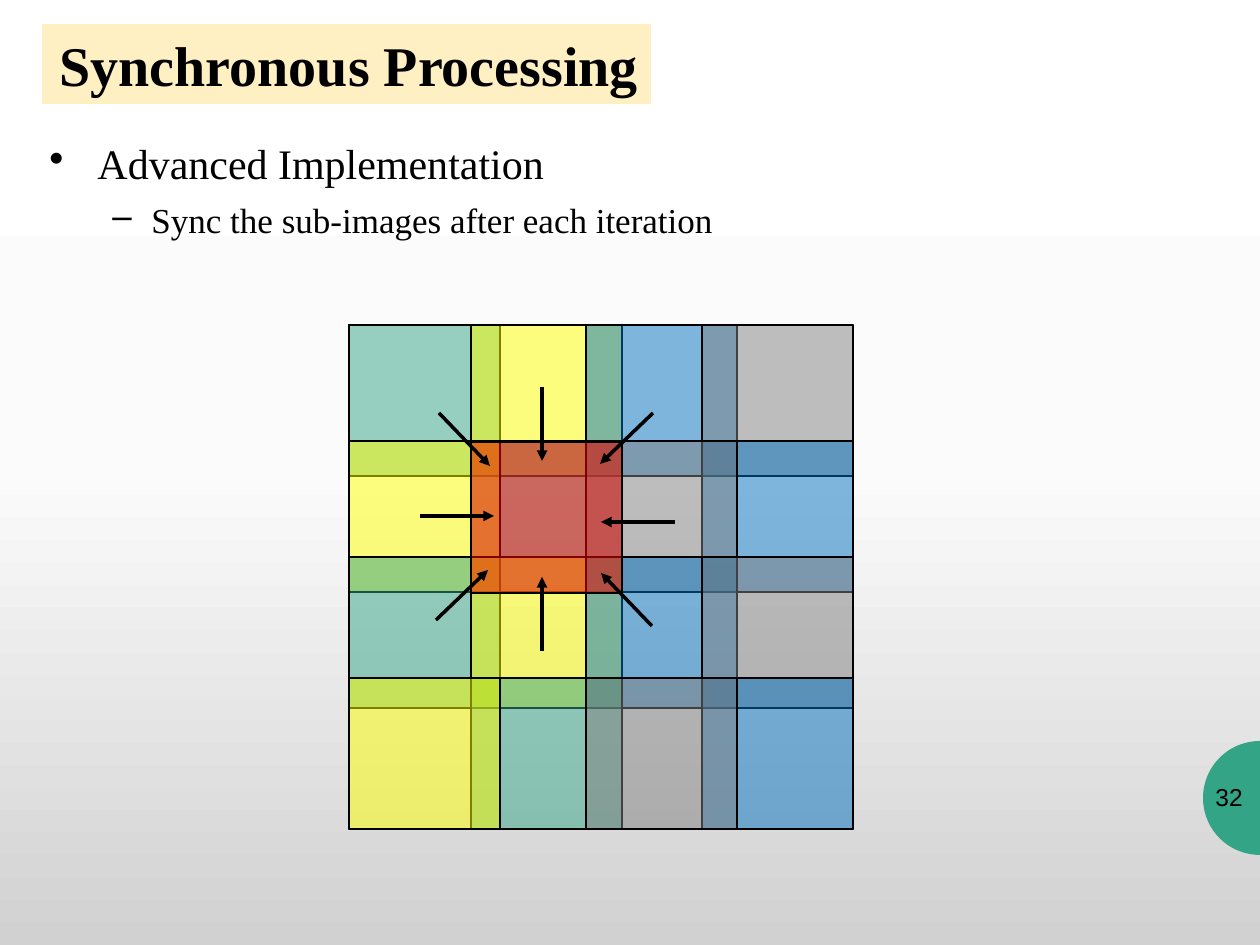
import math
from copy import deepcopy

from lxml import etree
from pptx import Presentation
from pptx.dml.color import RGBColor
from pptx.enum.shapes import MSO_CONNECTOR, MSO_SHAPE
from pptx.enum.text import MSO_ANCHOR, PP_ALIGN
from pptx.oxml.ns import qn
from pptx.util import Pt

RECTANGLE = MSO_SHAPE.RECTANGLE
STRAIGHT = MSO_CONNECTOR.STRAIGHT
TOP, MIDDLE = MSO_ANCHOR.TOP, MSO_ANCHOR.MIDDLE
LEFT, RIGHT = PP_ALIGN.LEFT, PP_ALIGN.RIGHT

PX_PER_INCH = 126
SLIDE_SIZE = (1260, 945)
SERIF, SANS = "Times New Roman", "Arial"
COLORS = {
    "black": "000000", "cream": "FFEAA6", "teal": "33A485", "yellow": "FFFF00",
    "blue": "0070C0", "gray": "808080", "red": "FF0000",
}
BACKGROUND_STOPS = [(0, "FFFFFF"), (0.5, "FBFBFB"), (1, "D1D1D1")]

TITLE = "Synchronous Processing"
TITLE_BOX = (42, 24, 609, 80)
BODY_BOX = (37, 127, 1167, 116)
# text, size in pt, bullet, left margin, bullet hang, level, space before in pt
BULLETS = [
    ("Advanced Implementation", 24, "•", 48, 48, 0, 0),
    ("Sync the sub-images after each iteration", 20, "–", 102, 39, 1, 6),
]
PAGE_NUMBER = "32"
PAGE_BOX = (1203, 772, 57, 50)
BADGE_CENTER, BADGE_RADIUS = (1260, 798), 57

IMAGE_BOX = (349, 325, 504, 504)
TILE_SIZE = 151
TILE_LEFTS = [349, 471, 586, 702]
TILE_TOPS = [325, 441, 557, 678]
TILE_COLORS = ["teal", "yellow", "blue", "gray"]
CENTER_TILE = (471, 442, TILE_SIZE, TILE_SIZE)
SYNC_ARROWS = [
    ((420, 516), (494, 516)), ((542, 387), (542, 461)),
    ((542, 651), (542, 577)), ((675, 522), (601, 522)),
    ((439, 413), (490, 466)), ((653, 413), (600, 464)),
    ((652, 626), (601, 573)), ((436, 620), (488, 570)),
]


def px(length):
    return round(length * 914400 / PX_PER_INCH)


def rgb(name):
    return RGBColor.from_string(COLORS[name])


def add_rectangle(shapes, box, color=None, opacity=50, outlined=True):
    shape = shapes.add_shape(RECTANGLE, *map(px, box))
    shape.shadow.inherit = False
    if color:
        shape.fill.solid()
        shape.fill.fore_color.rgb = rgb(color)
        tint = shape.fill._xPr.find(".//" + qn("a:srgbClr"))
        etree.SubElement(tint, qn("a:alpha"), val=str(opacity * 1000))
    else:
        shape.fill.background()
    if outlined:
        shape.line.color.rgb = rgb("black")
        shape.line.width = Pt(1)
    else:
        shape.line.fill.background()
    return shape


def add_arrow(shapes, start, end):
    arrow = shapes.add_connector(STRAIGHT, *map(px, start + end))
    arrow.line.color.rgb = rgb("black")
    arrow.line.width = Pt(2)
    etree.SubElement(arrow.line._get_or_add_ln(), qn("a:tailEnd"), type="triangle")
    etree.SubElement(arrow._element.spPr, qn("a:effectLst"))


def write(para, text, size, font, bold=False, align=LEFT):
    para.alignment = align
    span = para.add_run()
    span.text = text
    span.font.size = Pt(size)
    span.font.name = font
    span.font.bold = bold
    span.font.color.rgb = rgb("black")


def set_bullet(para, mark, margin, hang):
    settings = para._p.get_or_add_pPr()
    settings.set("marL", str(px(margin)))
    settings.set("indent", str(-px(hang)))
    etree.SubElement(settings, qn("a:buChar"), char=mark)


def paint_background(slide):
    fill = slide.background.fill
    fill.gradient()
    fill.gradient_angle = 270
    stop_list = slide.element.find(".//" + qn("a:gsLst"))
    stop_list.append(deepcopy(stop_list[0]))
    for stop, (position, color) in zip(fill.gradient_stops, BACKGROUND_STOPS):
        stop.position = position
        stop.color.rgb = RGBColor.from_string(color)


def add_badge(shapes):
    """Draw the half disc at the right edge behind the page number."""
    x, y = BADGE_CENTER
    points = [
        (px(x - BADGE_RADIUS * math.sin(angle)), px(y - BADGE_RADIUS * math.cos(angle)))
        for angle in (math.radians(degree) for degree in range(0, 181, 5))
    ]
    builder = shapes.build_freeform(*points[0])
    builder.add_line_segments(points[1:], close=True)
    badge = builder.convert_to_shape()
    badge.shadow.inherit = False
    badge.fill.solid()
    badge.fill.fore_color.rgb = rgb("teal")
    badge.line.fill.background()


def add_text(shapes):
    title = add_rectangle(shapes, TITLE_BOX, "cream", 67, outlined=False)
    title.text_frame.vertical_anchor = MIDDLE
    title.text_frame.word_wrap = False
    write(title.text_frame.paragraphs[0], TITLE, 32, SERIF, bold=True, align=RIGHT)

    body = shapes.add_textbox(*map(px, BODY_BOX)).text_frame
    body.word_wrap = True
    body.vertical_anchor = TOP
    body.margin_top = px(11)
    for index, (text, size, mark, margin, hang, level, gap) in enumerate(BULLETS):
        para = body.add_paragraph() if index else body.paragraphs[0]
        para.level = level
        para.space_before = Pt(gap)
        set_bullet(para, mark, margin, hang)
        write(para, text, size, SERIF)

    number = shapes.add_textbox(*map(px, PAGE_BOX)).text_frame
    number.word_wrap = True
    number.vertical_anchor = MIDDLE
    write(number.paragraphs[0], PAGE_NUMBER, 14, SANS)


def add_sub_images(shapes):
    """Overlap the tiles; odd rows swap the colours of neighbouring columns."""
    grid = shapes.add_group_shape().shapes
    add_rectangle(grid, IMAGE_BOX)
    for row, top in enumerate(TILE_TOPS):
        for index, color in enumerate(TILE_COLORS):
            left = TILE_LEFTS[index ^ (row % 2)]
            add_rectangle(grid, (left, top, TILE_SIZE, TILE_SIZE), color)
    add_rectangle(shapes, CENTER_TILE, "red")


def main():
    deck = Presentation()
    deck.slide_width, deck.slide_height = map(px, SLIDE_SIZE)
    slide = deck.slides.add_slide(deck.slide_layouts[6])
    paint_background(slide)
    add_badge(slide.shapes)
    add_text(slide.shapes)
    add_sub_images(slide.shapes)
    for start, end in SYNC_ARROWS:
        add_arrow(slide.shapes, start, end)
    deck.save("out.pptx")


if __name__ == "__main__":
    main()
